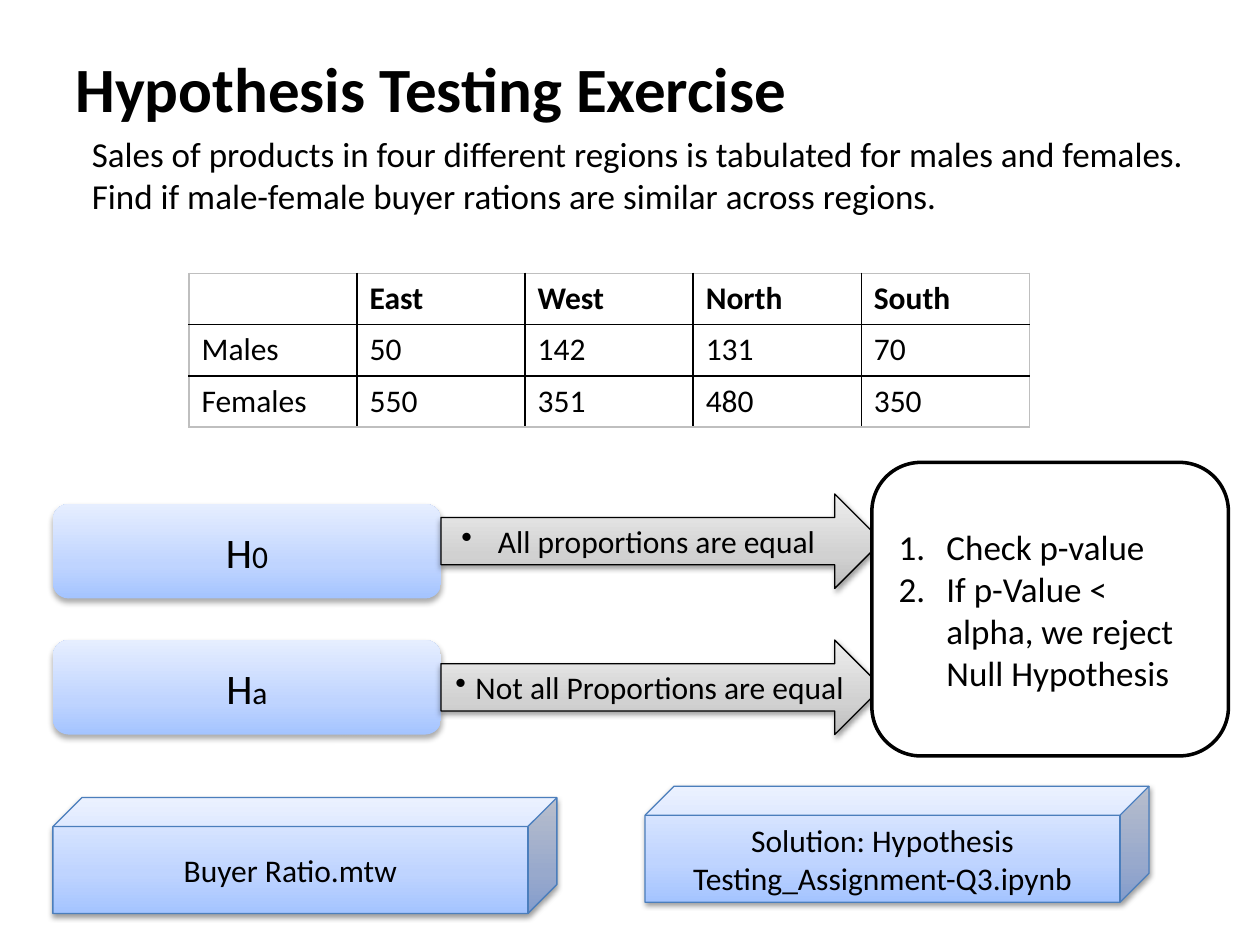
from lxml.etree import SubElement
from pptx import Presentation
from pptx.dml.color import RGBColor
from pptx.enum.shapes import MSO_SHAPE
from pptx.enum.text import MSO_ANCHOR, PP_ALIGN
from pptx.oxml.ns import qn
from pptx.util import Inches, Pt

TITLE = "Hypothesis Testing Exercise"
QUESTION = ("Sales of products in four different regions is tabulated for males and females. "
            "Find if male-female buyer rations are similar across regions.")
SALES = [
    ["", "East", "West", "North", "South"],
    ["Males", "50", "142", "131", "70"],
    ["Females", "550", "351", "480", "350"],
]
HYPOTHESES = [
    {"suffix": "0", "top": 4, "arrow_top": 3.92, "claim": "All proportions are equal",
     "indent": 0.29, "right_inset": 0.26},
    {"suffix": "a", "top": 5.08, "arrow_top": 5.08, "claim": "Not all Proportions are equal",
     "indent": 0.16, "right_inset": 0.08},
]
STEPS = ["Check p-value", "If p-Value < alpha, we reject Null Hypothesis"]
FILES = [
    ("Buyer Ratio.mtw", 0.42, 6.33),
    ("Solution: Hypothesis Testing_Assignment-Q3.ipynb", 5.12, 6.24),
]
BLUES = [(0, "A4C4FF"), (35, "BFD4FF"), (100, "E6EEFF")]
GREYS = [(0, "BDBDBD"), (35, "D1D1D1"), (100, "EEEEEE")]
SOFT_SHADOW = (32, 3.5, 2.2)
EDGE_SHADOW = (38, 3.1, 1.6)
BLACK, WHITE, CUBE_EDGE, TABLE_EDGE = "000000", "FFFFFF", "4B7EBC", "BFBFBF"


def color(value):
    """Return a colour from its hex string."""
    return RGBColor.from_string(value)


def add_child(parent, tag, **attributes):
    """Append a drawing element with the given attributes."""
    return SubElement(parent, qn(tag), {name: str(value) for name, value in attributes.items()})


def style_runs(para, size, bold=False):
    """Apply the common font to every run."""
    for span in para.runs:
        span.font.name = "Calibri"
        span.font.size = Pt(size)
        span.font.bold = bold
        span.font.color.rgb = color(BLACK)


def indent_text(para, indent, bullet=None, **attributes):
    """Hang a paragraph behind an optional bullet or number."""
    properties = para._p.get_or_add_pPr()
    properties.set("marL", str(Inches(indent)))
    if bullet:
        properties.set("indent", str(-Inches(indent)))
        add_child(properties, bullet, **attributes)


def add_text(page, text, place, size, bold=False):
    """Add a wrapping text box and return it."""
    box = page.shapes.add_textbox(*map(Inches, place))
    box.text_frame.word_wrap = True
    box.text_frame.text = text
    style_runs(box.text_frame.paragraphs[0], size, bold)
    return box


def add_panel(page, kind, place, stops=None, line=None, width=0.75, shadow=None):
    """Add a filled shape with middle-anchored, centred text."""
    panel = page.shapes.add_shape(kind, *map(Inches, place))
    panel.shadow.inherit = False
    properties = panel._element.spPr
    if stops:
        panel.fill.gradient()
        panel.fill.gradient_angle = 90
        stop_list = properties.find(qn("a:gradFill")).find(qn("a:gsLst"))
        for stop in list(stop_list):
            stop_list.remove(stop)
        for position, value in stops:
            add_child(add_child(stop_list, "a:gs", pos=position * 1000), "a:srgbClr", val=value)
    else:
        panel.fill.solid()
        panel.fill.fore_color.rgb = color(WHITE)
    if line:
        panel.line.color.rgb = color(line)
        panel.line.width = Pt(width)
    else:
        panel.line.fill.background()
    if shadow:
        alpha, blur, distance = shadow
        outer = add_child(properties.find(qn("a:effectLst")), "a:outerShdw", blurRad=Pt(blur),
                          dist=Pt(distance), dir=90 * 60000, rotWithShape=0)
        add_child(add_child(outer, "a:srgbClr", val=BLACK), "a:alpha", val=alpha * 1000)
    frame = panel.text_frame
    frame.word_wrap = True
    frame.vertical_anchor = MSO_ANCHOR.MIDDLE
    frame.paragraphs[0].alignment = PP_ALIGN.CENTER
    return panel


def add_sales_table(page):
    """Add the sales table with black inner and grey outer rules."""
    rows, columns = len(SALES), len(SALES[0])
    place = (1.5, 2.17, 6.67, 1.22)
    table = page.shapes.add_table(rows, columns, *map(Inches, place)).table
    table.first_row = table.horz_banding = False
    for row, values in enumerate(SALES):
        for column, value in enumerate(values):
            cell = table.cell(row, column)
            outer = {"a:lnL": column == 0, "a:lnR": column == columns - 1,
                     "a:lnT": row == 0, "a:lnB": row == rows - 1}
            properties = cell._tc.get_or_add_tcPr()
            for side, is_edge in outer.items():
                fill = add_child(add_child(properties, side, w=Pt(1)), "a:solidFill")
                add_child(fill, "a:srgbClr", val=TABLE_EDGE if is_edge else BLACK)
            cell.fill.background()
            cell.text_frame.text = value
            style_runs(cell.text_frame.paragraphs[0], 18, bold=row == 0)


deck = Presentation()
deck.slide_width, deck.slide_height = Inches(10), Inches(7.5)
page = deck.slides.add_slide(deck.slide_layouts[6])

title = add_text(page, TITLE, (0.5, 0.3, 9, 0.78), 36, bold=True)
title.text_frame.vertical_anchor = MSO_ANCHOR.MIDDLE
question = add_text(page, QUESTION, (0.25, 1, 9.58, 0.8), 20)
indent_text(question.text_frame.paragraphs[0], 0.38)
add_sales_table(page)

for hypothesis in HYPOTHESES:
    label = add_panel(page, MSO_SHAPE.ROUNDED_RECTANGLE, (0.42, hypothesis["top"], 3.08, 0.75),
                      BLUES, shadow=SOFT_SHADOW)
    para = label.text_frame.paragraphs[0]
    for text in ("H", hypothesis["suffix"]):
        para.add_run().text = text
    style_runs(para, 18)
    para.runs[0].font.size = Pt(24)

for hypothesis in HYPOTHESES:
    arrow = add_panel(page, MSO_SHAPE.RIGHT_ARROW, (3.5, hypothesis["arrow_top"], 3.5, 0.75),
                      GREYS, BLACK, shadow=EDGE_SHADOW)
    frame = arrow.text_frame
    frame.margin_left = Inches(0.08)
    frame.margin_right = Inches(hypothesis["right_inset"])
    para = frame.paragraphs[0]
    para.text = hypothesis["claim"]
    style_runs(para, 18)
    indent_text(para, hypothesis["indent"], "a:buChar", char="•")

decision = add_panel(page, MSO_SHAPE.ROUNDED_RECTANGLE, (6.92, 3.67, 2.83, 2.33),
                     line=BLACK, width=2)
decision.text_frame.text = "\n".join(STEPS)
for para in decision.text_frame.paragraphs:
    para.alignment = PP_ALIGN.LEFT
    style_runs(para, 20)
    indent_text(para, 0.38, "a:buAutoNum", type="arabicPeriod")

for name, left, top in FILES:
    cube = add_panel(page, MSO_SHAPE.CUBE, (left, top, 4, 0.92), BLUES, CUBE_EDGE,
                     shadow=EDGE_SHADOW)
    para = cube.text_frame.paragraphs[0]
    para.text = name
    style_runs(para, 18)

deck.save("out.pptx")
